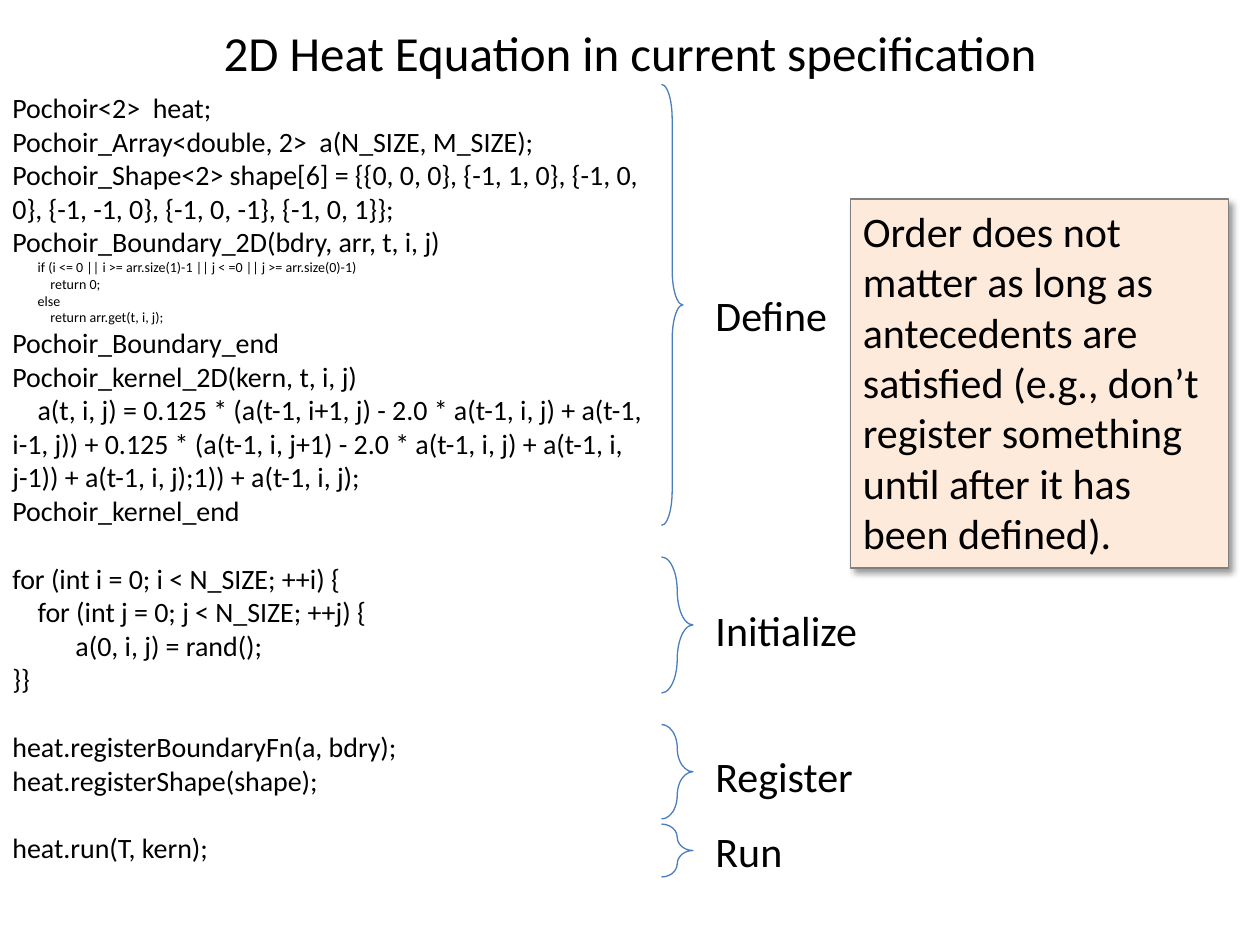
"""Build the slide that walks through a 2D heat equation program."""
from dataclasses import dataclass

from lxml import etree
from pptx import Presentation
from pptx import util as u
from pptx.dml.color import RGBColor
from pptx.enum import shapes, text
from pptx.oxml import ns

FONT = "Calibri"
BLACK = "000000"
BLANK_LINE = 19.5


@dataclass
class Box:
    left: float
    top: float
    width: float
    height: float

    def lengths(self) -> list[u.Length]:
        return [u.Inches(v) for v in (self.left, self.top, self.width, self.height)]


@dataclass
class Stage:
    label: str
    label_top: float
    brace_top: float
    brace_height: float
    brace_width: float = 0.25


STAGES = [
    Stage("Define", 2.25, 0.67, 3.5, 0.17),
    Stage("Initialize", 4.75, 4.42, 1.08),
    Stage("Register", 5.91, 5.75, 0.75),
    Stage("Run", 6.5, 6.54, 0.42),
]

DEFINITION = """Pochoir<2>  heat;
Pochoir_Array<double, 2>  a(N_SIZE, M_SIZE);
Pochoir_Shape<2> shape[6] = {{0, 0, 0}, {-1, 1, 0}, {-1, 0, 0}, {-1, -1, 0}, {-1, 0, -1}, {-1, 0, 1}};
Pochoir_Boundary_2D(bdry, arr, t, i, j)"""
BOUNDARY = """        if (i <= 0 || i >= arr.size(1)-1 || j < =0 || j >= arr.size(0)-1)
            return 0;
        else
            return arr.get(t, i, j);"""
KERNEL = """Pochoir_Boundary_end
Pochoir_kernel_2D(kern, t, i, j)
    a(t, i, j) = 0.125 * (a(t-1, i+1, j) - 2.0 * a(t-1, i, j) + a(t-1, i-1, j)) + 0.125 * (a(t-1, i, j+1) - 2.0 * a(t-1, i, j) + a(t-1, i, j-1)) + a(t-1, i, j);1)) + a(t-1, i, j);
Pochoir_kernel_end"""
INITIALIZATION = """for (int i = 0; i < N_SIZE; ++i) {
    for (int j = 0; j < N_SIZE; ++j) {
          a(0, i, j) = rand();
}}"""
REGISTRATION = """heat.registerBoundaryFn(a, bdry);
heat.registerShape(shape);"""
RUN = "heat.run(T, kern);"

CODE_BLOCKS = [
    (DEFINITION, 16, 0),
    (BOUNDARY, 8, 0),
    (KERNEL, 16, 0),
    (INITIALIZATION, 16, BLANK_LINE),
    (REGISTRATION, 16, BLANK_LINE),
    (RUN, 16, BLANK_LINE),
]


def color(value: str) -> RGBColor:
    return RGBColor.from_string(value)


def write(paragraph, wording: str, size: float) -> None:
    paragraph.text = wording
    for run in paragraph.runs:
        run.font.name = FONT
        run.font.size = u.Pt(size)
        run.font.color.rgb = color(BLACK)


def add_text(slide, box: Box):
    frame = slide.shapes.add_textbox(*box.lengths()).text_frame
    frame.word_wrap = True
    return frame


def add_code(slide, box: Box) -> None:
    frame = add_text(slide, box)
    paragraph = frame.paragraphs[0]
    for block, size, gap in CODE_BLOCKS:
        for index, line in enumerate(block.split("\n")):
            if paragraph is None:
                paragraph = frame.add_paragraph()
            write(paragraph, line, size)
            if gap and index == 0:
                paragraph.space_before = u.Pt(gap)
            paragraph = None


def add_stage(slide, stage: Stage) -> None:
    box = Box(5.25, stage.brace_top, stage.brace_width, stage.brace_height)
    brace = slide.shapes.add_shape(shapes.MSO_SHAPE.RIGHT_BRACE, *box.lengths())
    brace.adjustments[0] = 1.61
    brace.shadow.inherit = False
    brace.fill.background()
    brace.line.color.rgb = color("4B7EBC")
    brace.line.width = u.Pt(0.75)
    label = add_text(slide, Box(5.58, stage.label_top, 2.08, 0.5))
    write(label.paragraphs[0], stage.label, 24)


def add_shadow(shape) -> None:
    shape.shadow.inherit = False
    effects = shape._element.spPr.find(ns.qn("a:effectLst"))
    shadow = etree.SubElement(
        effects, ns.qn("a:outerShdw"), blurRad=str(u.Pt(4)), dist=str(u.Pt(3)),
        dir=str(45 * 60000), rotWithShape="0")
    tint = etree.SubElement(shadow, ns.qn("a:srgbClr"), val=BLACK)
    etree.SubElement(tint, ns.qn("a:alpha"), val="40000")


def add_note(slide, box: Box, wording: str) -> None:
    note = slide.shapes.add_shape(shapes.MSO_SHAPE.RECTANGLE, *box.lengths())
    note.fill.solid()
    note.fill.fore_color.rgb = color("FDEADA")
    note.line.color.rgb = color("808080")
    note.line.width = u.Pt(0.75)
    add_shadow(note)
    frame = note.text_frame
    frame.word_wrap = True
    frame.vertical_anchor = text.MSO_ANCHOR.TOP
    write(frame.paragraphs[0], wording, 24)
    frame.paragraphs[0].alignment = text.PP_ALIGN.LEFT


def main() -> None:
    deck = Presentation()
    deck.slide_width, deck.slide_height = u.Inches(10), u.Inches(7.5)
    slide = deck.slides.add_slide(deck.slide_layouts[5])

    title = slide.shapes.title
    title.left, title.top, title.width, title.height = Box(0.5, 0, 9, 0.83).lengths()
    title.text_frame.vertical_anchor = text.MSO_ANCHOR.MIDDLE
    heading = title.text_frame.paragraphs[0]
    write(heading, "2D Heat Equation in current specification", 28)
    heading.alignment = text.PP_ALIGN.CENTER

    add_code(slide, Box(0, 0.67, 5.42, 6.29))
    for stage in STAGES:
        add_stage(slide, stage)
    add_note(slide, Box(6.75, 1.58, 3, 2.93),
             "Order does not matter as long as antecedents are satisfied "
             "(e.g., don’t register something until after it has been defined).")
    deck.save("out.pptx")


if __name__ == "__main__":
    main()
